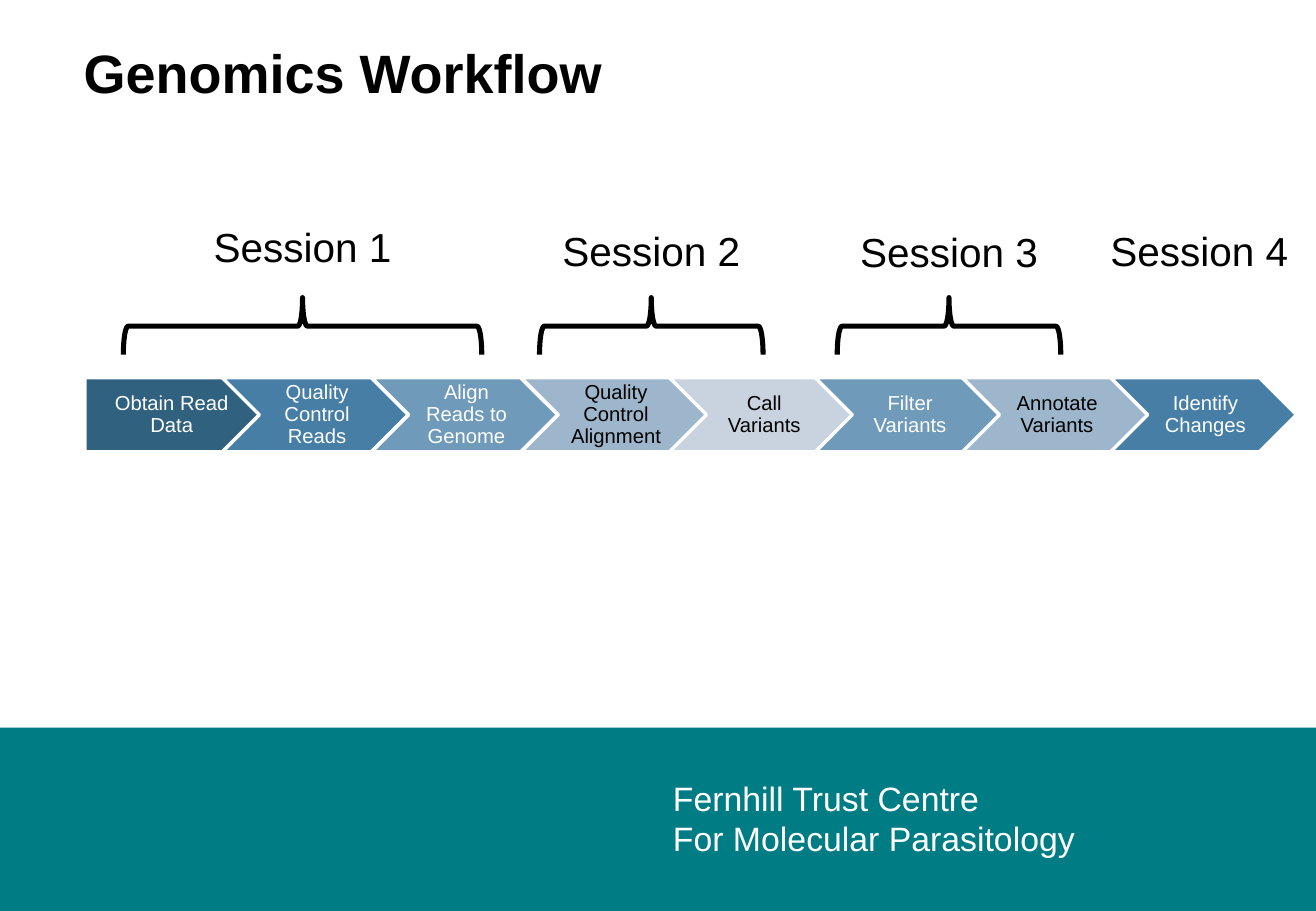
from pptx import Presentation
from pptx.dml.color import RGBColor
from pptx.enum.shapes import MSO_SHAPE as SHAPE
from pptx.enum.text import MSO_ANCHOR as ANCHOR, PP_ALIGN as ALIGN
from pptx.util import Inches, Pt

BLACK = RGBColor(0x00, 0x00, 0x00)
WHITE = RGBColor(0xFF, 0xFF, 0xFF)
TEAL = RGBColor(0x00, 0x7C, 0x85)
NAVY = RGBColor(0x30, 0x61, 0x7F)
BLUE = RGBColor(0x46, 0x7E, 0xA5)
SKY = RGBColor(0x6F, 0x9A, 0xBA)
MIST = RGBColor(0x9D, 0xB6, 0xCB)
PALE = RGBColor(0xC8, 0xD3, 0xDF)

# Step: left offset in the workflow row, label, fill, text colour
STEPS = [
    (0, "Obtain Read Data", NAVY, WHITE),
    (1.13, "Quality Control Reads", BLUE, WHITE),
    (2.36, "Align Reads to Genome", SKY, WHITE),
    (3.59, "Quality Control Alignment", MIST, BLACK),
    (4.81, "Call Variants", PALE, BLACK),
    (6.01, "Filter Variants", SKY, WHITE),
    (7.22, "Annotate Variants", MIST, BLACK),
    (8.44, "Identify Changes", BLUE, WHITE),
]
# Session: centre, label top, brace span (None for no brace)
SESSIONS = [(2.49, 1.78, 2.95), (5.36, 1.81, 1.84),
            (7.81, 1.82, 1.84), (9.87, 1.81, None)]


def write(tf, lines, size, color, align=ALIGN.LEFT, spacing=None, bold=False):
    tf.word_wrap = True
    for i, line in enumerate(lines):
        p = tf.paragraphs[0] if i == 0 else tf.add_paragraph()
        p.alignment = align
        if spacing:
            p.line_spacing = spacing
        r = p.add_run()
        r.text = line
        r.font.color.rgb = color
        for name, value in {"name": "Arial", "size": Pt(size), "bold": bold}.items():
            setattr(r.font, name, value)


def add_text(s, x, y, w, h, lines, size, color, **fmt):
    box = s.shapes.add_textbox(Inches(x), Inches(y), Inches(w), Inches(h))
    write(box.text_frame, lines, size, color, **fmt)


def add_shape(s, kind, x, y, w, h, fill=None, line=None, width=0):
    sp = s.shapes.add_shape(kind, Inches(x), Inches(y), Inches(w), Inches(h))
    sp.shadow.inherit = False
    if fill is None:
        sp.fill.background()
    else:
        sp.fill.solid()
        sp.fill.fore_color.rgb = fill
    if line is None:
        sp.line.fill.background()
    else:
        sp.line.color.rgb = line
        sp.line.width = Pt(width)
    return sp


def footer(s, x, y, w, h):
    add_shape(s, SHAPE.RECTANGLE, x, y, w, h, TEAL)
    add_text(s, x + 5.44, y + 0.36, 3.74, 0.77,
             ["Fernhill Trust Centre", "For Molecular Parasitology"], 20, WHITE)


def workflow(s, x, y, w, h):
    """Row of arrows; w and h are the size of one arrow."""
    for i, (offset, label, fill, color) in enumerate(STEPS):
        kind = SHAPE.CHEVRON if i else SHAPE.PENTAGON
        sp = add_shape(s, kind, x + offset, y, w, h, fill, WHITE, 2)
        sp.adjustments[0] = 0.5
        tf = sp.text_frame
        insets = {"margin_left": 0.05 if i else 0.07, "margin_right": 0.02,
                  "margin_top": 0.03, "margin_bottom": 0.03}
        for name, value in insets.items():
            setattr(tf, name, Inches(value))
        tf.vertical_anchor = ANCHOR.MIDDLE
        write(tf, [label], 12, color, align=ALIGN.CENTER, spacing=0.9)


def sessions(s, brace_y, brace_h, label_w, label_h):
    for number, (centre, label_y, span) in enumerate(SESSIONS, 1):
        # A right brace turned about its centre so that it points up
        if span:
            brace = add_shape(s, SHAPE.RIGHT_BRACE, centre - brace_h / 2,
                              brace_y + (brace_h - span) / 2, brace_h, span,
                              line=BLACK, width=3)
            brace.rotation = 270
            brace.adjustments[0] = 0.083
        add_text(s, centre - label_w / 2, label_y, label_w, label_h,
                 [f"Session {number}"], 24, BLACK, align=ALIGN.CENTER)


def main():
    prs = Presentation()
    prs.slide_width, prs.slide_height = Inches(10.83), Inches(7.5)
    s = prs.slides.add_slide(prs.slide_layouts[6])
    footer(s, 0, 5.99, 10.83, 1.51)
    add_text(s, 0.59, 0.01, 9.62, 0.81, ["Genomics Workflow"], 32, BLACK,
             spacing=1.5, bold=True)
    workflow(s, 0.7, 3.11, 1.53, 0.61)
    sessions(s, 2.45, 0.47, 1.86, 0.5)
    prs.save("out.pptx")


if __name__ == "__main__":
    main()
